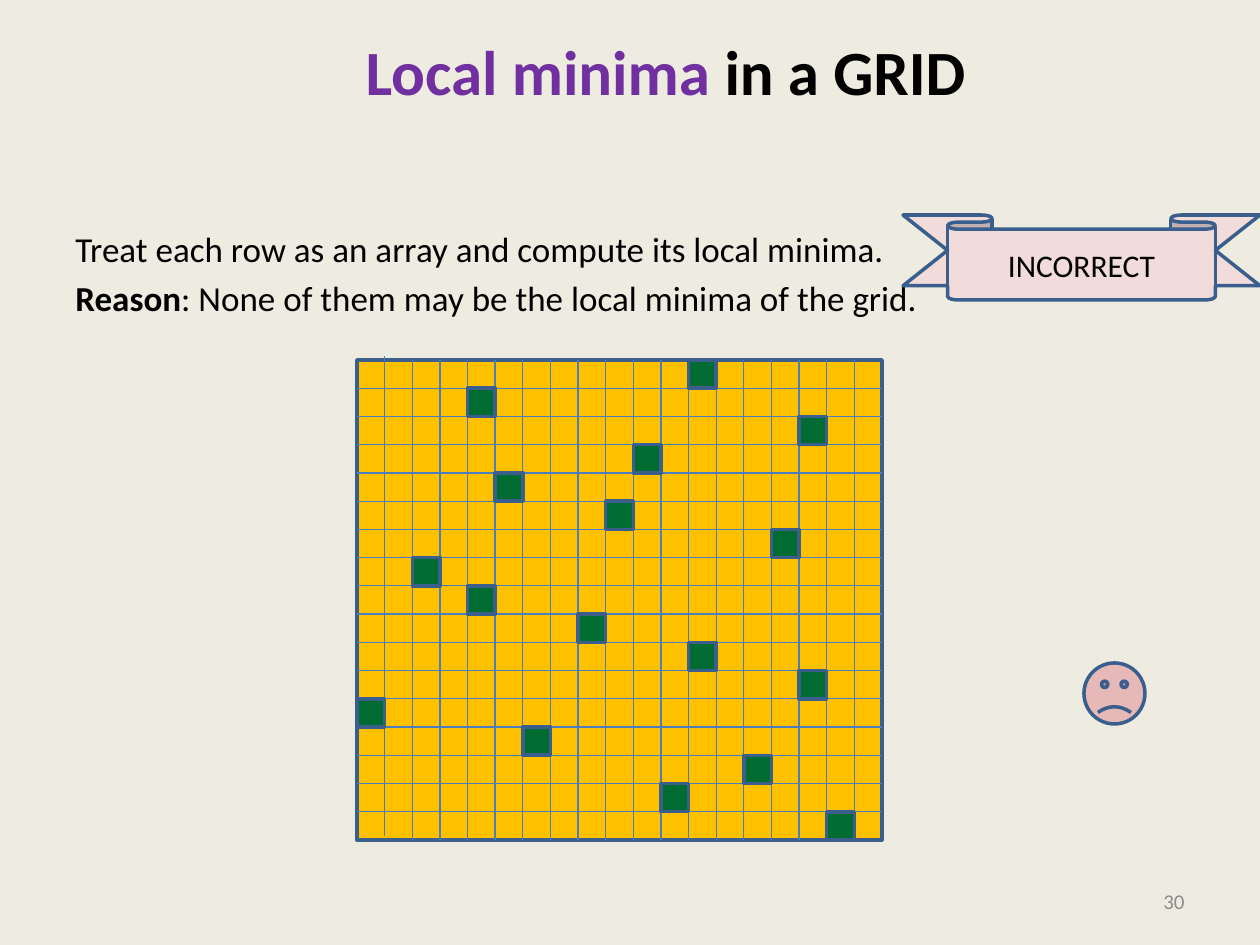
"""Build the slide on local minima in a grid."""
from lxml import etree
from pptx import Presentation
from pptx.dml.color import RGBColor
from pptx.enum.shapes import MSO_CONNECTOR, MSO_SHAPE
from pptx.enum.text import MSO_ANCHOR as ANCHOR, PP_ALIGN as ALIGN
from pptx.oxml.ns import qn
from pptx.util import Emu, Pt

COLORS = {
    "background": "EEECE1", "text": "000000", "purple": "7030A0",
    "number": "8C8C8C", "grid": "FFC000", "grid_line": "4B7EBC",
    "outline": "3A5F8C", "minimum": "006C31", "smiley": "E6B9B8",
    "ribbon": "F2DCDB",
}
COLS, ROWS = 19, 17
LEFT, TOP, WIDTH, HEIGHT = 357, 360, 525, 480
CELL_W, CELL_H = WIDTH / COLS, HEIGHT / ROWS
MINIMUM_COLS = [12, 4, 16, 10, 5, 9, 15, 2, 4, 8, 12, 16, 0, 6, 14, 11, 17]


def px(*lengths):
    return [Emu(round(n * 914400 / 126)) for n in lengths]


def add_run(p, text, size, color="text", bold=False):
    r = p.add_run()
    r.text = text
    r.font.name = "Calibri"
    r.font.size = Pt(size)
    r.font.bold = bold
    r.font.color.rgb = RGBColor.from_string(COLORS[color])


prs = Presentation()
prs.slide_width, prs.slide_height = px(1260, 945)
s = prs.slides.add_slide(prs.slide_layouts[5])
s.background.fill.solid()
s.background.fill.fore_color.rgb = RGBColor.from_string(COLORS["background"])

title = s.shapes.title
title.left, title.top, title.width, title.height = px(353, 26, 633, 89)
tf = title.text_frame
tf.word_wrap = False
tf.vertical_anchor = ANCHOR.TOP
p = tf.paragraphs[0]
p.alignment = ALIGN.LEFT
add_run(p, "Local minima ", 36, "purple", True)
add_run(p, "in a GRID", 36, "text", True)

body = s.shapes.add_textbox(*px(63, 221, 1134, 624))
tf = body.text_frame
tf.word_wrap = True
add_run(tf.paragraphs[0], "Treat each row as an array and compute its local minima.", 20)
p = tf.add_paragraph()
p.space_before = Pt(4)
add_run(p, "Reason", 20, bold=True)
add_run(p, ": None of them may be the local minima of the grid.", 20)

number = s.shapes.add_textbox(*px(903, 876, 294, 50))
tf = number.text_frame
tf.word_wrap = True
tf.vertical_anchor = ANCHOR.MIDDLE
p = tf.paragraphs[0]
p.alignment = ALIGN.RIGHT
add_run(p, "30", 12, "number")

grid = s.shapes.add_shape(MSO_SHAPE.RECTANGLE, *px(LEFT, TOP, WIDTH, HEIGHT))
shapes = [(grid, "grid")]

lines = []
for col in range(1, COLS):
    x, lift = LEFT + col * CELL_W, 4 if col == 1 else 0
    lines.append((x, TOP - lift, x, TOP + HEIGHT - lift))
for row in range(1, ROWS):
    y = TOP + row * CELL_H
    lines.append((LEFT, y, LEFT + WIDTH, y))
for ends in lines:
    line = s.shapes.add_connector(MSO_CONNECTOR.STRAIGHT, *px(*ends))
    line.line.color.rgb = RGBColor.from_string(COLORS["grid_line"])
    line.line.width = Pt(0.75)
    etree.SubElement(line._element.spPr, qn("a:effectLst"))

for row, col in enumerate(MINIMUM_COLS):
    x, y = LEFT + col * CELL_W, TOP + row * CELL_H
    minimum = s.shapes.add_shape(MSO_SHAPE.RECTANGLE, *px(x, y, CELL_W, CELL_H))
    shapes.append((minimum, "minimum"))

smiley = s.shapes.add_shape(MSO_SHAPE.SMILEY_FACE, *px(1084, 663, 61, 61))
smiley.adjustments[0] = -0.047
shapes.append((smiley, "smiley"))

ribbon = s.shapes.add_shape(MSO_SHAPE.DOWN_RIBBON, *px(903, 215, 357, 85))
ribbon.adjustments[0] = 0.167
ribbon.adjustments[1] = 0.75
shapes.append((ribbon, "ribbon"))
tf = ribbon.text_frame
tf.vertical_anchor = ANCHOR.MIDDLE
p = tf.paragraphs[0]
p.alignment = ALIGN.CENTER
add_run(p, "INCORRECT", 18)

for sp, color in shapes:
    sp.shadow.inherit = False
    sp.fill.solid()
    sp.fill.fore_color.rgb = RGBColor.from_string(COLORS[color])
    sp.line.color.rgb = RGBColor.from_string(COLORS["outline"])
    sp.line.width = Pt(2)

prs.save("out.pptx")
